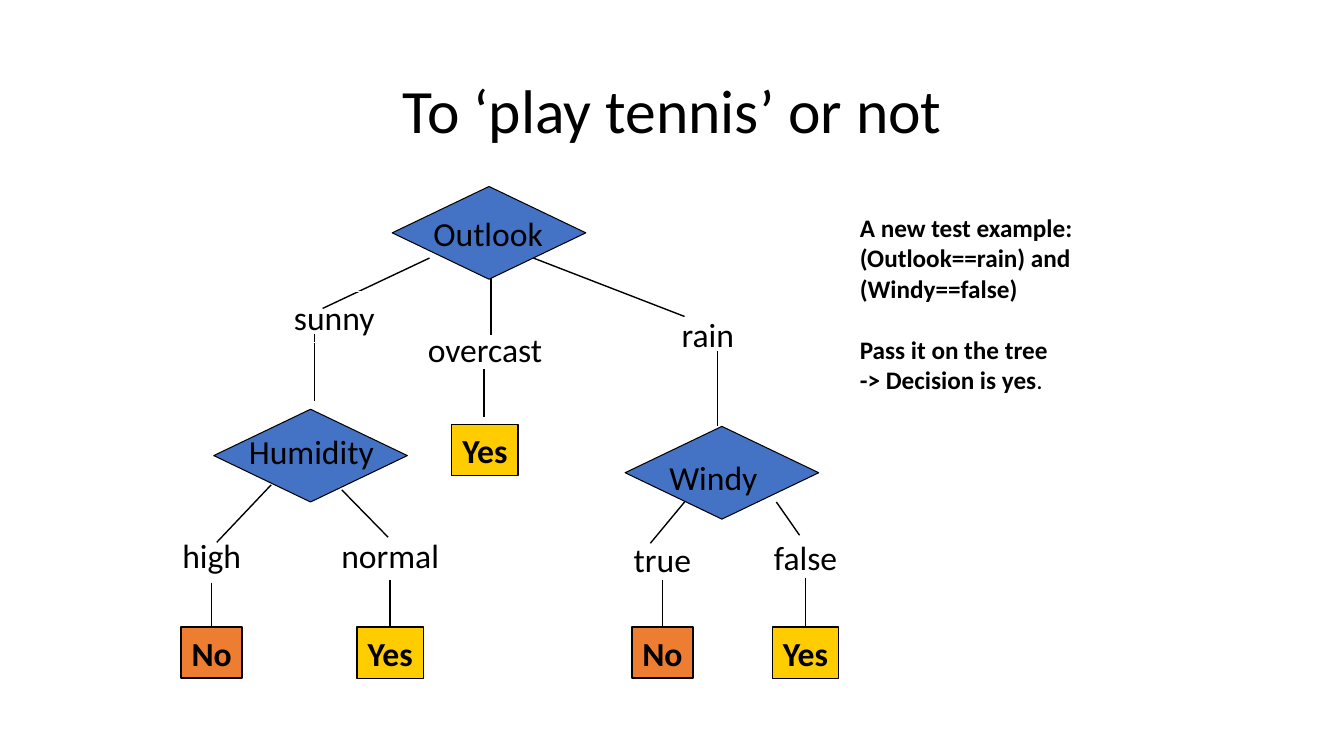
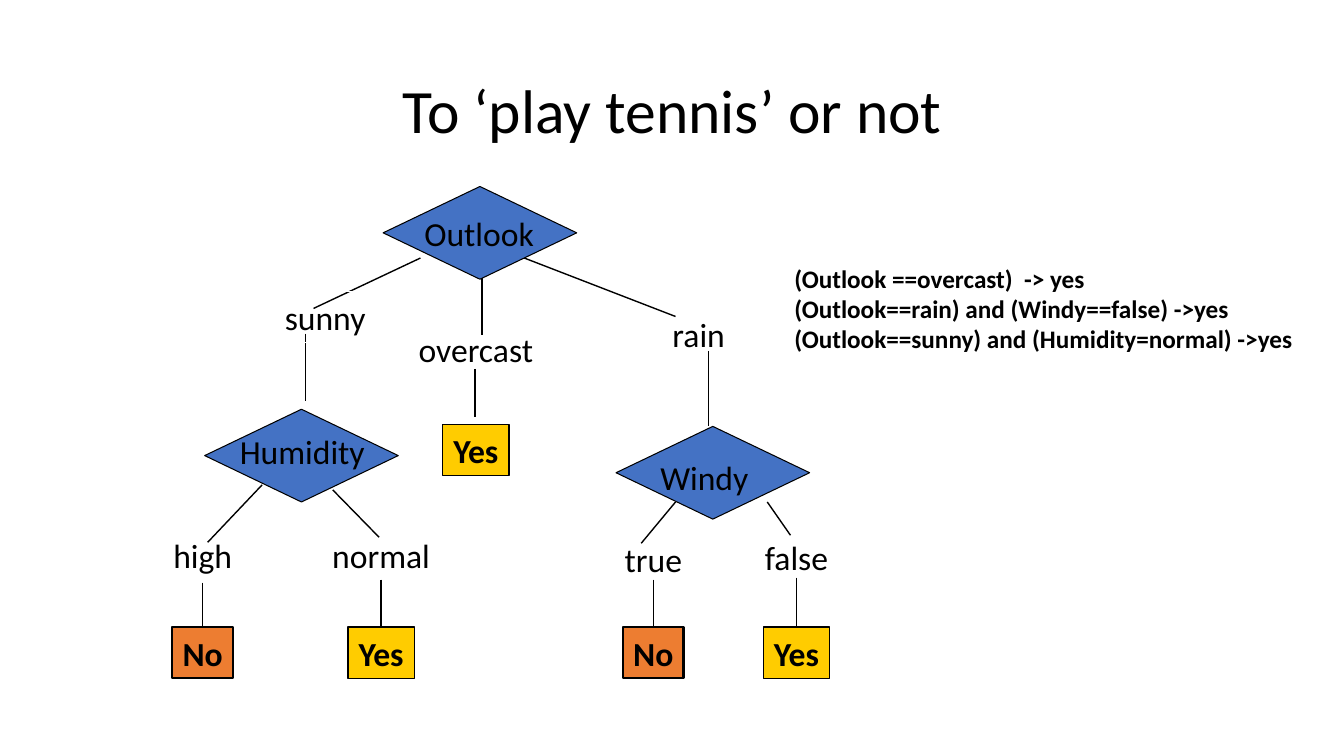
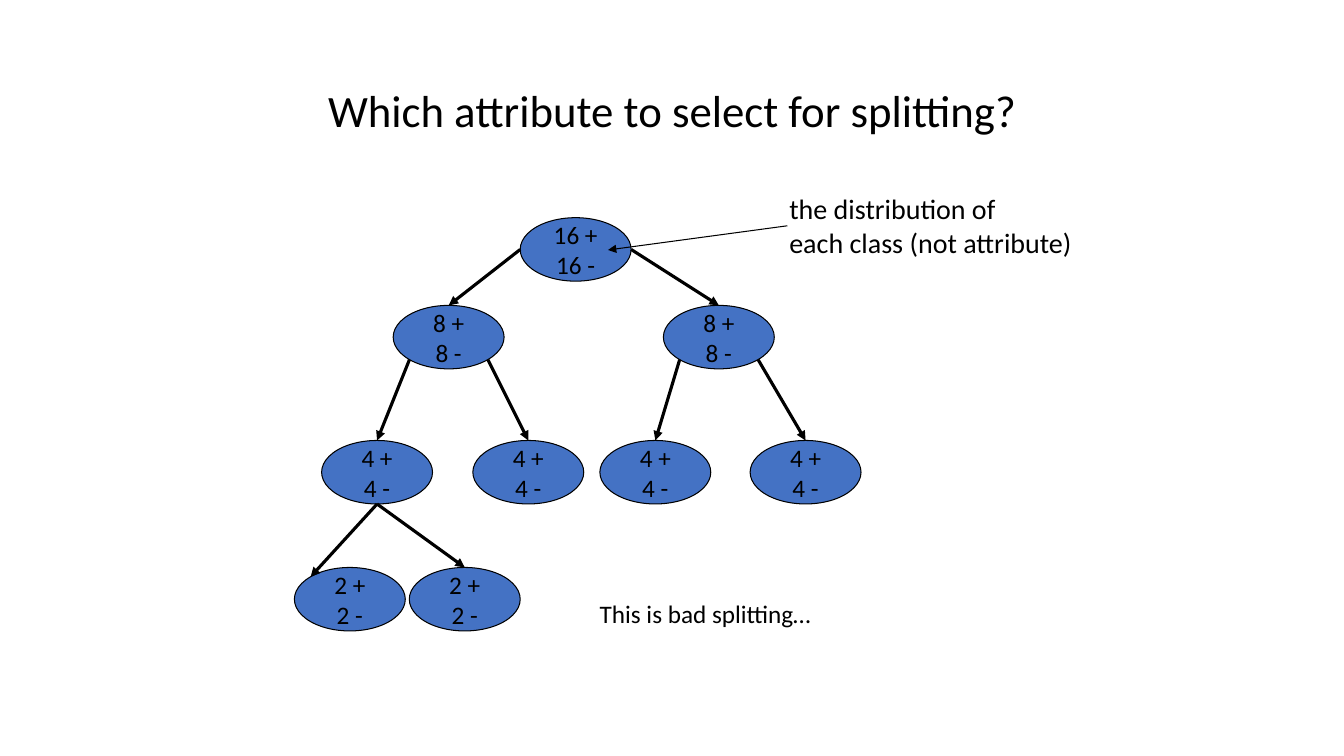
from math import cos, radians, sin

from lxml.etree import SubElement
from pptx import Presentation
from pptx.dml.color import RGBColor
from pptx.enum.shapes import MSO_CONNECTOR, MSO_SHAPE
from pptx.enum.text import MSO_ANCHOR, MSO_AUTO_SIZE, PP_ALIGN
from pptx.oxml.ns import qn
from pptx.util import Inches, Pt

BLACK = RGBColor(0x00, 0x00, 0x00)
WHITE = RGBColor(0xFF, 0xFF, 0xFF)
BLUE = RGBColor(0x44, 0x72, 0xC4)
ORANGE = RGBColor(0xED, 0x7D, 0x31)
YELLOW = RGBColor(0xFF, 0xCC, 0x00)
FONT = "Calibri"
TITLE_ONLY = 5

# Decision tree: lengths in inches, measured from the tree's top left corner.
DIAMOND_SIZE = (1.92, 0.92)
ROW_HEIGHT = 0.51
BRANCHES = [  # start x, start y, end x, end y, weight
    (2.56, 0.71, 1.5, 1.21, 1),
    (3.17, 0.88, 3.17, 1.47, 1),
    (3.59, 0.71, 5.09, 1.29, 1),
    (0.99, 2.96, 0.45, 3.53, 1),
    (1.69, 3.01, 2.15, 3.48, 1),
    (5.09, 3.13, 4.75, 3.54, 1),
    (6, 3.13, 6.23, 3.46, 1),
    (3.1, 1.81, 3.1, 2.29, 1),
    (1.42, 1.46, 1.42, 2.13, 0.75),
    (5.42, 1.63, 5.42, 2.38, 0.75),
]
BRANCH_LABELS = [  # text, centre x, top, width
    ("overcast", 3.11, 1.36, 1.35),
    ("high", 0.4, 3.41, 0.79),
    ("normal", 2.17, 3.41, 1.18),
    ("false", 6.29, 3.43, 0.84),
    ("true", 4.87, 3.45, 0.78),
    ("rain", 5.32, 1.21, 0.73),
]
TESTS = [  # text, diamond left and top, text left, top and width
    ("Outlook", 2.19, 0, 2.5, 0.21, 1.29),
    ("Humidity", 0.42, 2.21, 0.67, 2.38, 1.48),
    ("Windy", 4.5, 2.38, 4.84, 2.63, 1.11),
]
DECISIONS = {"No": (0.6, ORANGE, 1.5), "Yes": (0.66, YELLOW, 1)}
LEAVES = [  # decision, centre x, top, start of its stem
    ("No", 0.4, 4.37, 3.93),
    ("Yes", 2.17, 4.37, 3.9),
    ("No", 4.87, 4.37, 3.9),
    ("Yes", 6.29, 4.37, 3.88),
    ("Yes", 3.11, 2.36, None),
]

# Splitting tree: node size, then each level as count, top and node centres.
NODE_WIDTH, NODE_HEIGHT = 1.1, 0.63
LEVELS = [
    (16, 0, [2.79]),
    (8, 0.87, [1.53, 4.21]),
    (4, 2.21, [0.82, 2.32, 3.58, 5.07]),
    (2, 3.47, [0.55, 1.69]),
]
RIGHT, BOTTOM_RIGHT, BOTTOM, BOTTOM_LEFT = 0, 45, 90, 135
LEFT, TOP_LEFT, TOP = 180, 225, 270
SPLITS = [  # parent level and index, leaving angle, child index, arriving angle
    (0, 0, LEFT, 0, TOP),
    (0, 0, RIGHT, 1, TOP),
    (1, 0, BOTTOM_LEFT, 0, TOP),
    (1, 0, BOTTOM_RIGHT, 1, TOP),
    (1, 1, BOTTOM_LEFT, 2, TOP),
    (1, 1, BOTTOM_RIGHT, 3, TOP),
    (2, 0, BOTTOM, 0, TOP_LEFT),
    (2, 0, BOTTOM, 1, TOP),
]


def format_text(frame, size, bold=False, align=PP_ALIGN.LEFT):
    for para in frame.paragraphs:
        para.alignment = align
        for span in para.runs:
            span.font.name = FONT
            span.font.size = Pt(size)
            span.font.bold = bold
            span.font.color.rgb = BLACK


def add_page(deck, title, size):
    page = deck.slides.add_slide(deck.slide_layouts[TITLE_ONLY])
    holder = page.shapes.title
    holder.left, holder.top = Inches(0.92), Inches(0.4)
    holder.width, holder.height = Inches(11.5), Inches(1.45)
    frame = holder.text_frame
    frame.text = title
    frame.vertical_anchor = MSO_ANCHOR.MIDDLE
    frame.paragraphs[0].line_spacing = 0.9
    format_text(frame, size, align=PP_ALIGN.CENTER)
    return page


def add_text(page, text, left, top, width, height, size,
             bold=False, align=PP_ALIGN.LEFT, wrap=False):
    box = page.shapes.add_textbox(
        Inches(left), Inches(top), Inches(width), Inches(height))
    frame = box.text_frame
    frame.text = text
    frame.word_wrap = wrap
    frame.auto_size = MSO_AUTO_SIZE.SHAPE_TO_FIT_TEXT
    format_text(frame, size, bold, align)
    return box


def add_figure(page, preset, left, top, width, height, fill,
               line=BLACK, weight=0.75, text="", size=24, bold=False):
    """Add an outlined shape with centred text; fill None leaves it open."""
    figure = page.shapes.add_shape(
        preset, Inches(left), Inches(top), Inches(width), Inches(height))
    figure.shadow.inherit = False
    if fill is None:
        figure.fill.background()
    else:
        figure.fill.solid()
        figure.fill.fore_color.rgb = fill
    figure.line.color.rgb = line
    figure.line.width = Pt(weight)
    if text:
        frame = figure.text_frame
        frame.text = text
        frame.word_wrap = False
        frame.vertical_anchor = MSO_ANCHOR.MIDDLE
        format_text(frame, size, bold, PP_ALIGN.CENTER)
    return figure


def add_line(page, start, end, weight, arrow=False):
    line = page.shapes.add_connector(
        MSO_CONNECTOR.STRAIGHT, Inches(start[0]), Inches(start[1]),
        Inches(end[0]), Inches(end[1]))
    line.line.color.rgb = BLACK
    line.line.width = Pt(weight)
    if arrow:
        SubElement(line.line._get_or_add_ln(), qn("a:tailEnd"), type="triangle")
    SubElement(line._element.spPr, qn("a:effectLst"))
    return line


def add_decision_tree(page, left, top):
    for x1, y1, x2, y2, weight in BRANCHES:
        add_line(page, (left + x1, top + y1), (left + x2, top + y2), weight)

    for text, centre, y, width in BRANCH_LABELS:
        add_text(page, text, left + centre - width / 2, top + y, width,
                 ROW_HEIGHT, 24, align=PP_ALIGN.CENTER)
    add_figure(page, MSO_SHAPE.RECTANGLE, left + 1.11, top + 1.04, 1.01,
               ROW_HEIGHT, None, WHITE, 1, "sunny")

    for decision, centre, y, stem_start in LEAVES:
        width, fill, weight = DECISIONS[decision]
        leaf = add_figure(
            page, MSO_SHAPE.RECTANGLE, left + centre - width / 2, top + y,
            width, ROW_HEIGHT, fill, BLACK, weight, decision, bold=True)
        if stem_start is not None:
            stem = add_line(page, (left + centre, top + stem_start),
                            (left + centre, top + y), 1)
            stem.end_connect(leaf, 0)

    for text, x, y, text_x, text_y, text_width in TESTS:
        add_figure(page, MSO_SHAPE.DIAMOND, left + x, top + y,
                   *DIAMOND_SIZE, BLUE)
        add_text(page, text, left + text_x, top + text_y, text_width, 0.5, 24)


def rim_point(left, top, level, index, angle):
    """Return the point on a node's ellipse, clockwise in degrees from the right."""
    _, y, centres = LEVELS[level]
    return (left + centres[index] + NODE_WIDTH / 2 * cos(radians(angle)),
            top + y + NODE_HEIGHT / 2 * (1 + sin(radians(angle))))


def add_splitting_tree(page, left, top):
    for count, y, centres in LEVELS:
        for centre in centres:
            add_figure(page, MSO_SHAPE.OVAL, left + centre - NODE_WIDTH / 2,
                       top + y, NODE_WIDTH, NODE_HEIGHT, BLUE,
                       text=f"{count} +\n{count} -", size=18)
    for level, parent, leaving, child, arriving in SPLITS:
        add_line(page, rim_point(left, top, level, parent, leaving),
                 rim_point(left, top, level + 1, child, arriving), 2.25, arrow=True)


def add_example_page(deck):
    page = add_page(deck, "To ‘play tennis’ or not", 44)
    add_decision_tree(page, 1.7, 1.85)
    note = add_text(
        page,
        "A new test example:\n(Outlook==rain) and (Windy==false)\n"
        "Pass it on the tree\n-> Decision is yes",
        8.43, 2.06, 3.8, 1.9, 18, bold=True, wrap=True)
    paras = note.text_frame.paragraphs
    paras[2].space_before = Pt(22)
    stop = paras[3].add_run()
    stop.text = "."
    stop.font.name = FONT
    stop.font.size = Pt(18)
    stop.font.color.rgb = BLACK


def add_rules_page(deck):
    page = add_page(deck, "To ‘play tennis’ or not", 44)
    add_decision_tree(page, 1.61, 1.85)
    add_text(
        page,
        "(Outlook ==overcast)  -> yes\n"
        "(Outlook==rain) and (Windy==false) ->yes\n"
        "(Outlook==sunny) and (Humidity=normal) ->yes",
        7.78, 2.56, 5.19, 1.01, 18, bold=True)


def add_splitting_page(deck):
    page = add_page(deck, "Which attribute to select for splitting?", 32)
    add_splitting_tree(page, 2.92, 2.16)
    add_text(page, "This is bad splitting…", 5.85, 5.89, 2.33, 0.4, 18)
    add_line(page, (7.81, 2.24), (6.03, 2.48), 0.75, arrow=True)
    add_text(page, "the distribution of\neach class (not attribute)",
             7.73, 1.85, 3.02, 1.1, 20)


def main():
    deck = Presentation()
    deck.slide_width, deck.slide_height = Inches(13.33), Inches(7.5)
    add_example_page(deck)
    add_rules_page(deck)
    add_splitting_page(deck)
    deck.save("out.pptx")


if __name__ == "__main__":
    main()
